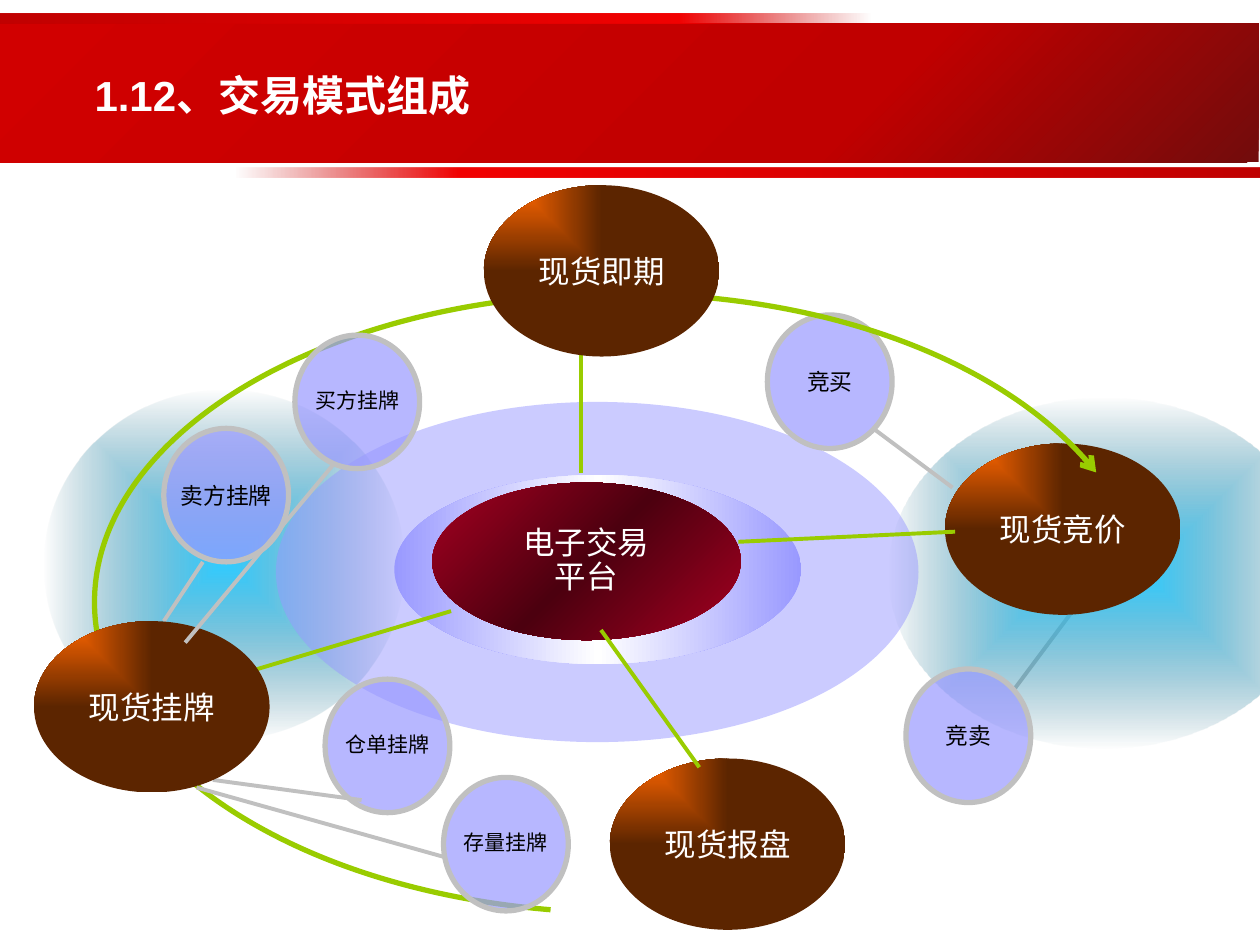
from lxml import etree
from pptx import Presentation
from pptx import util as u
from pptx.dml.color import RGBColor
from pptx.enum import shapes, text
from pptx.oxml import parse_xml
from pptx.oxml.ns import nsdecls, qn

COLORS = {
    "red": "C00000", "bright": "F20000", "scarlet": "D10000", "maroon": "720C0C",
    "cyan": "33CCFF", "teal": "185E76", "lilac": "9999FF", "white": "FFFFFF",
    "black": "000000", "green": "99CC00", "grey": "C0C0C0", "orange": "FF6600",
    "brown": "5C2500", "crimson": "A50021", "wine": "4C000F",
}
FONT = "Arial"
COLUMNS, ROWS = 10, 7.5  # grid cells across and down the slide

deck = Presentation()
deck.slide_width, deck.slide_height = u.Inches(10), u.Inches(7.5)


def place(box, left, top, width=0, height=0):
    """Turn grid cells, counted from the corner of a box, into lengths."""
    col, row = deck.slide_width / COLUMNS, deck.slide_height / ROWS
    return [u.Emu(round(n)) for n in
            ((box[0] + left) * col, (box[1] + top) * row, width * col, height * row)]


def color(name):
    """Look up a colour by name."""
    return RGBColor.from_string(COLORS[name])


def set_alpha(fill_element, percent):
    """Set the opacity of the colour in a solid fill."""
    etree.SubElement(fill_element.find(".//" + qn("a:srgbClr")),
                     qn("a:alpha")).set("val", str(percent * 1000))


def set_gradient(shape, stops, angle=0, path=None, focus=(0, 0, 100, 100)):
    """Fill with (position, colour, opacity) stops, along an angle or a path."""
    marks = "".join(
        f'<a:gs pos="{pos * 1000}"><a:srgbClr val="{COLORS[name]}">'
        f'<a:alpha val="{opacity * 1000}"/></a:srgbClr></a:gs>'
        for pos, name, opacity in stops)
    if path:
        edges = " ".join(f'{side}="{share * 1000}"' for side, share in zip("ltrb", focus))
        way = f'<a:path path="{path}"><a:fillToRect {edges}/></a:path>'
    else:
        way = f'<a:lin ang="{angle * 60000}" scaled="1"/>'
    shape.fill.background()
    old = shape.element.spPr.find(qn("a:noFill"))
    shape.element.spPr.replace(old, parse_xml(
        f'<a:gradFill {nsdecls("a")} rotWithShape="1"><a:gsLst>{marks}</a:gsLst>{way}</a:gradFill>'))


def add_plain(page, kind, box, spot):
    """Add a preset shape without shadow or outline."""
    shape = page.shapes.add_shape(kind, *place(box, *spot))
    shape.shadow.inherit = False
    shape.line.fill.background()
    return shape


def add_oval(page, box, spot):
    """Add a plain oval."""
    return add_plain(page, shapes.MSO_SHAPE.OVAL, box, spot)


def set_label(shape, words, size, ink, spacing=None):
    """Write centred text on a shape."""
    frame = shape.text_frame
    frame.text = words
    frame.word_wrap = False
    frame.vertical_anchor = text.MSO_ANCHOR.MIDDLE
    for para in frame.paragraphs:
        para.alignment = text.PP_ALIGN.CENTER
        para.line_spacing = spacing
        for span in para.runs:
            span.font.size, span.font.name = u.Pt(size), FONT
            span.font.color.rgb = color(ink)


def add_lines(page, box, name, ends):
    """Draw straight connectors from (x1, y1, x2, y2) rows."""
    for x1, y1, x2, y2 in ends:
        start, stop = place(box, x1, y1)[:2], place(box, x2, y2)[:2]
        line = page.shapes.add_connector(shapes.MSO_CONNECTOR.STRAIGHT, *start, *stop)
        line.line.color.rgb, line.line.width = color(name), u.Pt(2.25)
        etree.SubElement(line.element.spPr, qn("a:effectLst"))


def add_modes(page, box, modes):
    """Draw the large brown ovals of the trading modes."""
    for words, left, top in modes:
        mode = add_oval(page, box, (left, top, 1.87, 1.36))
        set_gradient(mode, [(0, "orange", 100), (100, "brown", 100)], path="rect")
        set_label(mode, words, 18, "white")


def add_options(page, box, options):
    """Draw the small lilac circles of the options."""
    for words, left, top, size in options:
        option = add_oval(page, box, (left, top, 0.99, 1.06))
        option.fill.solid()
        option.fill.fore_color.rgb = color("lilac")
        set_alpha(option.element.spPr.find(qn("a:solidFill")), 70)
        option.line.color.rgb, option.line.width = color("grey"), u.Pt(3)
        set_label(option, words, size, "black", 0.9 if size == 12 else None)


def add_halos(page, box):
    """Draw the two glowing fields and the large pale disc."""
    for spot in ((0.35, 3.09, 2.86, 2.78), (7.05, 3.16, 3.42, 2.78)):
        set_gradient(add_oval(page, box, spot), [(0, "cyan", 100), (100, "teal", 0)],
                     path="shape", focus=(50, 50, 50, 50))
    disc = add_oval(page, box, (2.19, 3.19, 5.1, 2.7))
    disc.fill.solid()
    disc.fill.fore_color.rgb = color("lilac")
    set_alpha(disc.element.spPr.find(qn("a:solidFill")), 50)


def add_platform(page, box):
    """Draw the ring and the core oval in the middle."""
    ring = add_oval(page, box, (3.13, 3.77, 3.23, 1.5))
    set_gradient(ring, [(0, "lilac", 100), (50, "white", 100), (100, "lilac", 100)])
    core = add_oval(page, box, (3.43, 3.83, 2.45, 1.25))
    set_gradient(core, [(0, "crimson", 100), (50, "wine", 100), (100, "crimson", 100)], 45)
    set_label(core, "电子交易\n平台", 18, "white", 0.9)


def add_orbit(page, box):
    """Draw the curved arrow round the platform as three Bezier pieces."""
    points = [(4.37, 7.22), (2.3, 7.05), (0.75, 6.01), (0.75, 4.78), (0.75, 3.43),
              (2.62, 2.33), (4.92, 2.33), (6.54, 2.33), (8.02, 2.89), (8.7, 3.75)]
    start, *rest = [place(box, *point)[:2] for point in points]
    builder = page.shapes.build_freeform(*start)
    builder.add_line_segments(rest, close=False)
    orbit = builder.convert_to_shape()
    outline = orbit.element.spPr.find(".//" + qn("a:path"))
    steps = outline.findall(qn("a:lnTo"))
    for first in range(0, len(steps), 3):
        curve = etree.SubElement(outline, qn("a:cubicBezTo"))
        for step in steps[first:first + 3]:
            curve.append(step[0])
            outline.remove(step)
    orbit.shadow.inherit = False
    orbit.fill.background()
    orbit.line.color.rgb, orbit.line.width = color("green"), u.Pt(3)
    etree.SubElement(orbit.line._get_or_add_ln(), qn("a:tailEnd")).set("type", "arrow")


def add_header(page, box):
    """Draw the red band with its two fading strips and set the title."""
    band = add_plain(page, shapes.MSO_SHAPE.RECTANGLE, box, (-0.02, 0.19, 10.01, 1.1))
    set_gradient(band, [(0, "scarlet", 100), (68, "red", 100), (100, "maroon", 100)],
                 path="circle")
    fade = [(0, "red", 0), (22, "bright", 100), (100, "red", 100)]
    mirrored = [(100 - pos, name, opacity) for pos, name, opacity in reversed(fade)]
    for spot, stops in (((1.87, 1.33, 8.15, 0.08), fade), ((-0.04, 0.11, 6.95, 0.08), mirrored)):
        set_gradient(add_plain(page, shapes.MSO_SHAPE.RECTANGLE, box, spot), stops)
    title = page.shapes.title
    title.left, title.top, title.width, title.height = place(box, 0.65, 0.13, 6.23, 1.25)
    title.element.getparent().append(title.element)
    frame = title.text_frame
    frame.text = "1.12、交易模式组成"
    frame.auto_size = text.MSO_AUTO_SIZE.NONE
    frame.vertical_anchor = text.MSO_ANCHOR.MIDDLE
    para = frame.paragraphs[0]
    para.alignment = text.PP_ALIGN.LEFT
    font = para.runs[0].font
    font.size, font.name, font.bold = u.Pt(24), FONT, True
    font.color.rgb = color("white")


def add_diagram(page, box):
    """Build the map of trading modes from back to front."""
    add_lines(page, box, "grey", [(8.52, 4.84, 8.05, 5.47)])
    add_halos(page, box)
    add_lines(page, box, "green", [(4.61, 3.75, 4.61, 2.81)])
    add_modes(page, box, [("现货竞价", 7.5, 3.52)])
    add_options(page, box, [("卖方挂牌", 1.3, 3.4, 13), ("竞买", 6.09, 2.5, 13),
                            ("仓单挂牌", 2.58, 5.39, 12)])
    add_platform(page, box)
    add_lines(page, box, "green", [(5.86, 4.3, 7.58, 4.22), (2.01, 5.32, 3.58, 4.85)])
    add_lines(page, box, "grey", [(1.3, 4.93, 1.61, 4.46), (2.87, 6.35, 1.69, 6.19),
                                  (6.93, 3.4, 7.56, 3.87)])
    add_orbit(page, box)
    add_modes(page, box, [("现货挂牌", 0.27, 4.93), ("现货即期", 3.84, 1.47),
                          ("现货报盘", 4.84, 6.02)])
    add_options(page, box, [("竞卖", 7.19, 5.31, 13), ("存量挂牌", 3.52, 6.17, 12),
                            ("买方挂牌", 2.34, 2.66, 12)])
    add_lines(page, box, "grey", [(3.52, 6.8, 1.56, 6.25), (1.47, 5.1, 2.66, 3.67)])
    add_lines(page, box, "green", [(5.55, 6.09, 4.77, 5)])


slide_page = deck.slides.add_slide(deck.slide_layouts[5])
add_header(slide_page, (0, 0))
add_diagram(slide_page, (0, 0))
deck.save("out.pptx")
